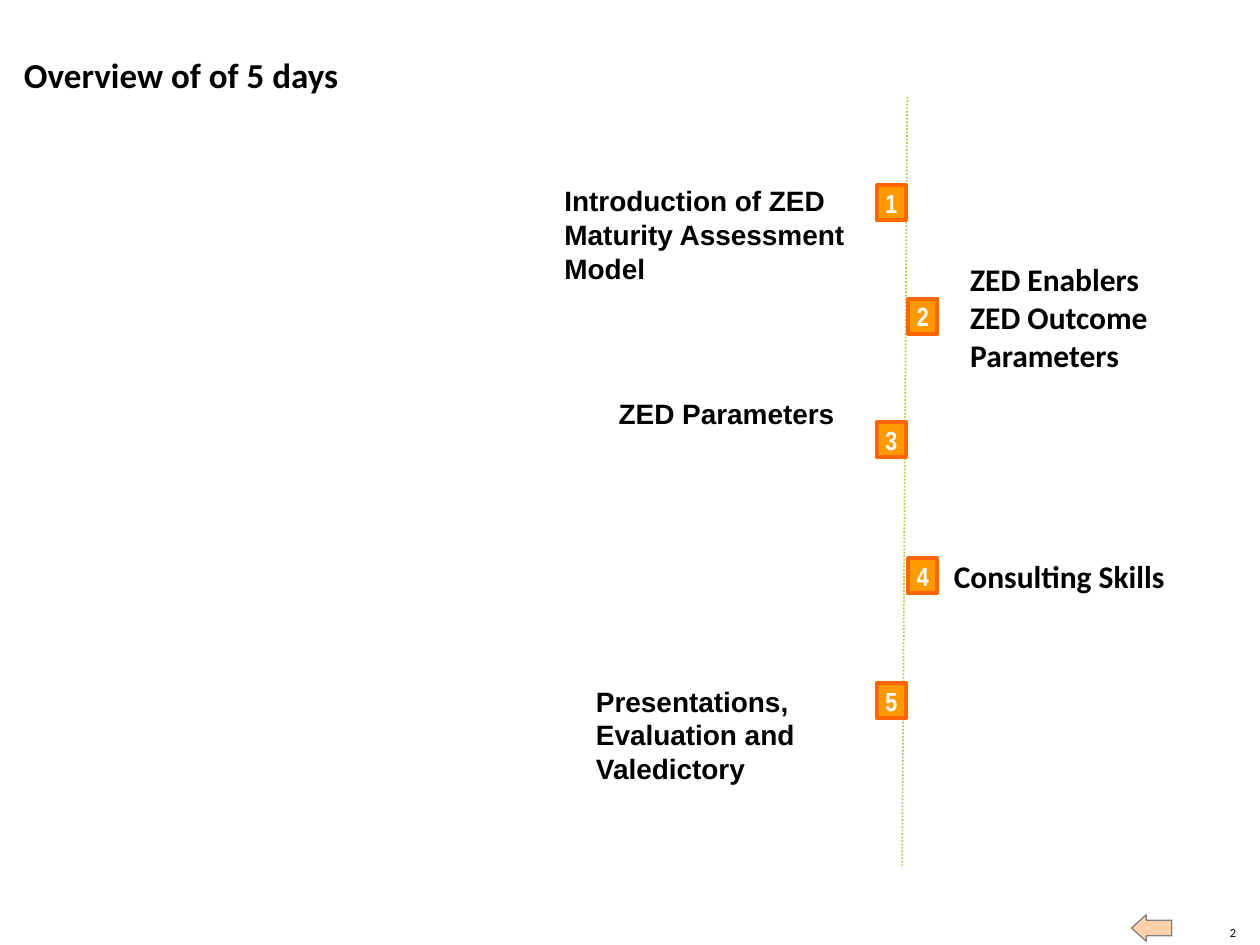
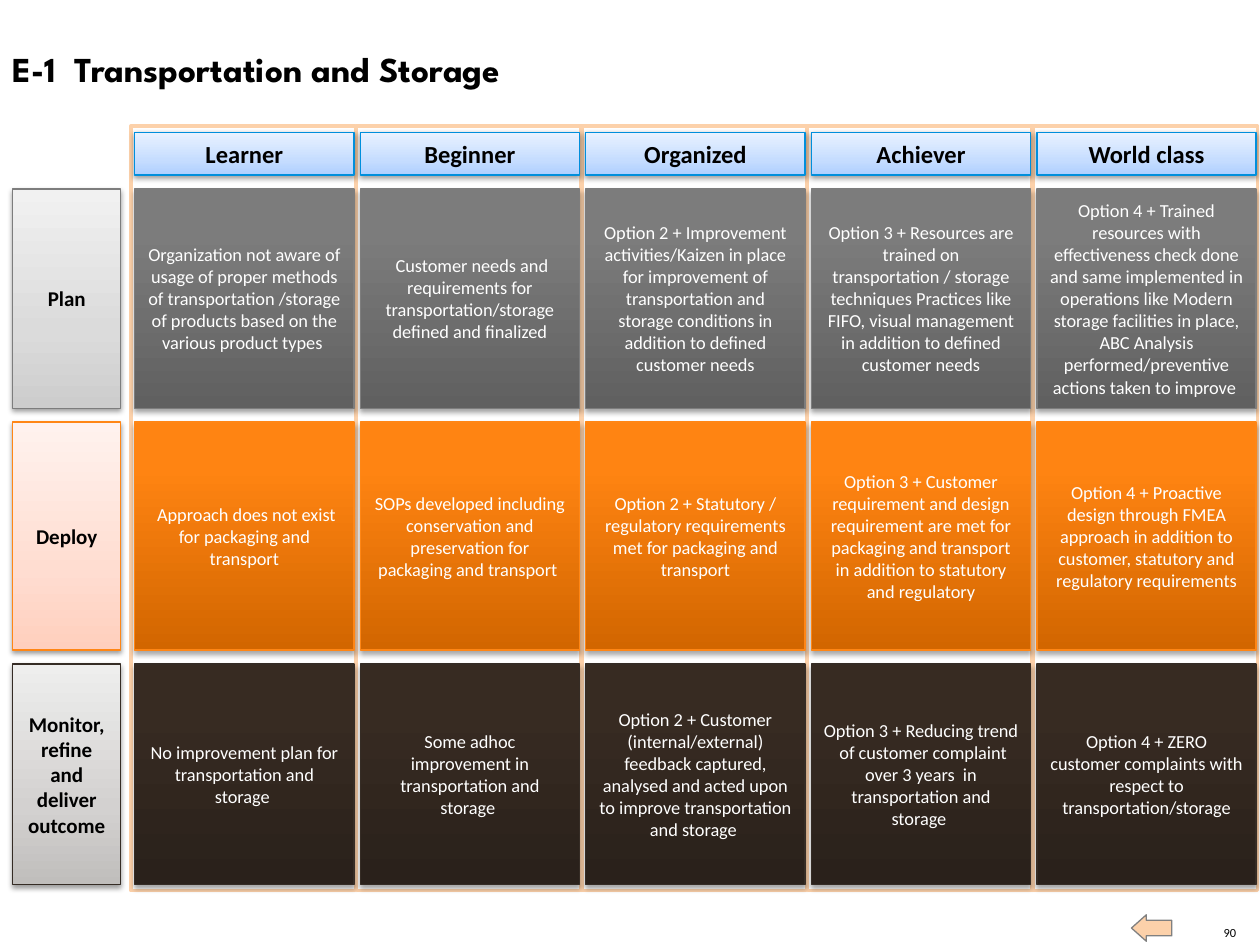
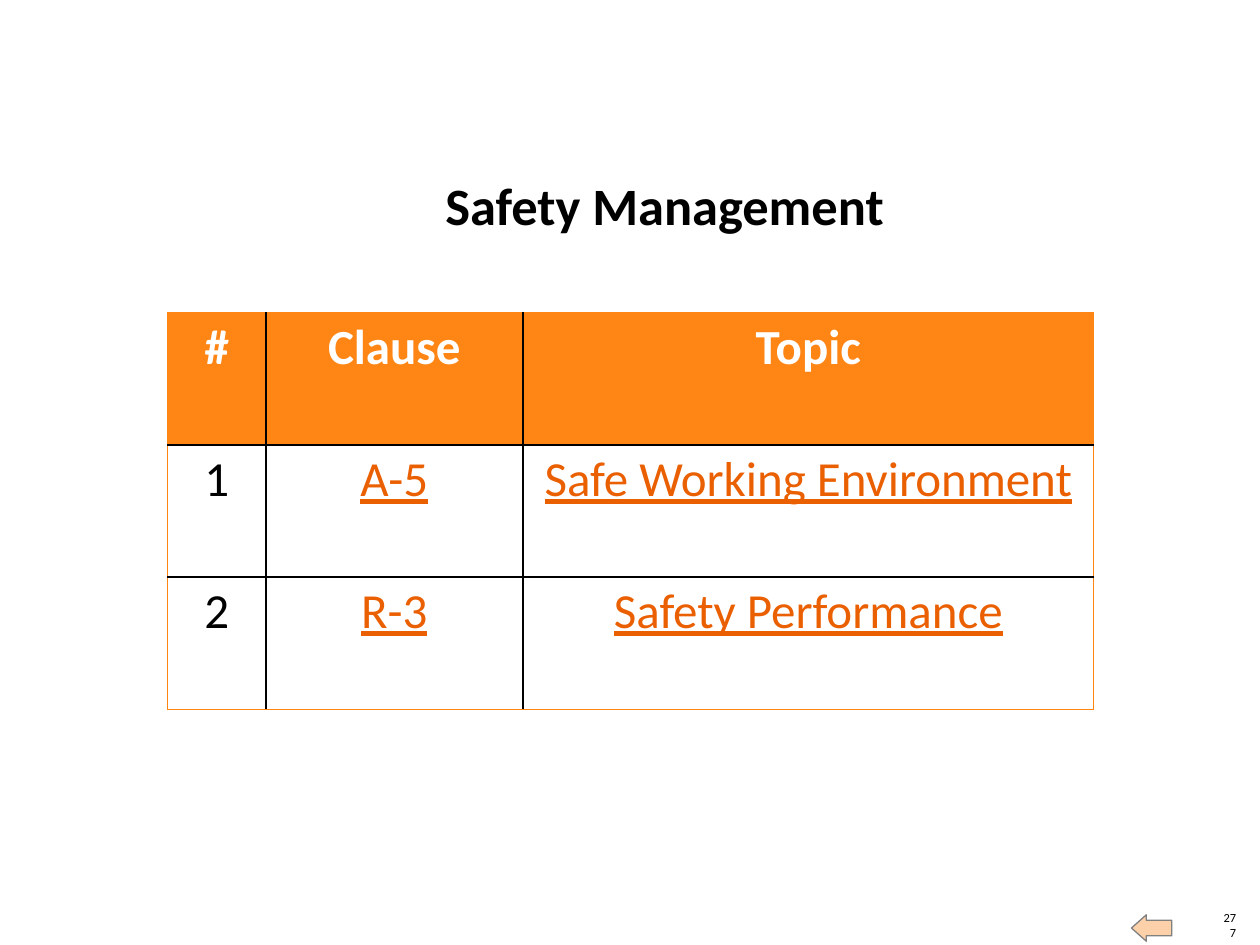
from pptx import Presentation
from pptx import util as u
from pptx.dml.color import RGBColor
from pptx.enum import dml, shapes, text
from pptx.oxml import parse_xml
from pptx.oxml.ns import nsdecls, qn

COLORS = {
    "ink": "000000", "white": "FFFFFF", "orange": "FF8615", "link": "EA5F00",
    "peach": "FCD1AA", "grey": "808080", "spine": "BDC644",
    "badge": "FF9900", "badge_line": "FF6600",
    "header_line": "008FDC", "plan": "7D7D7D", "monitor": "352C25",
}
# Gradient stops run from the bottom edge (0 %) to the top edge (100 %)
GRADIENTS = {
    "header": [(0, "AECFFF"), (35, "C6DDFF"), (100, "E9F2FF")],
    "plan_label": [(0, "CDCDCD"), (35, "DBDBDB"), (100, "F1F1F1")],
    "deploy_label": [(0, "FFCFBD"), (35, "FFDDD1"), (100, "FFF2EE")],
    "monitor_label": [(0, "C0BEBC"), (35, "D3D1D0"), (100, "EEEEED")],
    "plan": [(0, "606060"), (80, "7C7C7C"), (100, "7D7D7D")],
    "deploy": [(0, "D26600"), (80, "FF8412"), (100, "FF8514")],
    "monitor": [(0, "2A211B"), (80, "372B22"), (100, "372B22")],
}
LEFT, CENTER, RIGHT = text.PP_ALIGN.LEFT, text.PP_ALIGN.CENTER, text.PP_ALIGN.RIGHT
TOP, MIDDLE, BOTTOM = (text.MSO_ANCHOR.TOP, text.MSO_ANCHOR.MIDDLE,
                       text.MSO_ANCHOR.BOTTOM)
DEFAULT_INSETS = (0.1, 0.05)

LEVELS = ["Learner", "Beginner", "Organized", "Achiever", "World class"]
# Each stage: label, style, line colour, top, height, one text per level
STAGES = [
    ("Plan", "plan", "plan", 1.5, 1.74, [
        "Organization not aware of usage of proper methods of transportation "
        "/storage of products based on the various product types ",
        " Customer needs and requirements for transportation/storage defined "
        "and finalized",
        "Option 2 + Improvement activities/Kaizen in place for improvement of "
        "transportation and storage conditions in addition to defined customer needs",
        "Option 3 + Resources are trained on transportation / storage techniques "
        "Practices like FIFO, visual management in addition to defined customer needs",
        "Option 4 + Trained resources with effectiveness check done and same "
        "implemented in operations like Modern storage facilities in place, ABC "
        "Analysis performed/preventive actions taken to improve ",
    ]),
    ("Deploy", "deploy", "orange", 3.35, 1.81, [
        " Approach does not exist for packaging and transport",
        "SOPs developed including conservation and preservation for packaging "
        "and transport ",
        "Option 2 + Statutory / regulatory requirements met for packaging and "
        "transport",
        "Option 3 + Customer requirement and design requirement are met for "
        "packaging and transport in addition to statutory and regulatory",
        "Option 4 + Proactive design through FMEA approach in addition to "
        "customer, statutory and regulatory requirements",
    ]),
    ("Monitor, refine and deliver outcome", "monitor", "monitor", 5.27, 1.75, [
        "No improvement plan for transportation and storage ",
        "Some adhoc improvement in transportation and storage ",
        "Option 2 + Customer (internal/external) feedback captured, analysed "
        "and acted upon to improve transportation and storage ",
        "Option 3 + Reducing trend  of customer complaint over 3 years  in "
        "transportation and storage ",
        "Option 4 + ZERO customer complaints with respect to "
        "transportation/storage",
    ]),
]
# Each day: badge top, badge side, text box, font, size, anchor, lines
DAYS = [
    (0.7, "left", (0, 0.69, 2.38, 0.81), "Arial", 16, TOP,
     ["Introduction of ZED Maturity Assessment Model"]),
    (1.6, "right", (3.22, 1.43, 2.13, 0.63), "Calibri", 18, MIDDLE,
     ["ZED Enablers", "ZED Outcome Parameters"]),
    (2.58, "left", (0.43, 2.38, 2.42, 0.27), "Arial", 16, TOP,
     ["ZED Parameters"]),
    (3.66, "right", (3.09, 3.41, 2.13, 0.78), "Calibri", 18, MIDDLE,
     ["Consulting Skills"]),
    (4.65, "left", (0.25, 4.66, 2.42, 0.81), "Arial", 16, TOP,
     ["Presentations, Evaluation and Valedictory"]),
]
CLAUSES = [("#", "Clause", "Topic"),
           ("1", "A-5", "Safe Working Environment"),
           ("2", "R-3", "Safety Performance")]


def rgb(name):
    return RGBColor.from_string(COLORS[name])


def inches(box):
    return [u.Inches(round(v, 2)) for v in box]


def write(tf, lines, size, font="Calibri", color="ink", bold=False, align=LEFT,
          anchor=MIDDLE, insets=DEFAULT_INSETS, wrap=True):
    """Fill a text frame with evenly formatted paragraphs."""
    tf.auto_size = text.MSO_AUTO_SIZE.NONE
    tf.word_wrap = wrap
    tf.vertical_anchor = anchor
    tf.margin_left = tf.margin_right = u.Inches(insets[0])
    tf.margin_top = tf.margin_bottom = u.Inches(insets[1])
    for i, line in enumerate(lines):
        p = tf.paragraphs[0] if i == 0 else tf.add_paragraph()
        p.text = line
        p.alignment = align
        set_font(p.font, size, font, color, bold)


def set_font(f, size, font="Calibri", color="ink", bold=False):
    f.name, f.size, f.bold = font, u.Pt(size), bold
    f.color.rgb = rgb(color)


def add_text(s, box, lines, size, **style):
    write(s.shapes.add_textbox(*inches(box)).text_frame, lines, size, **style)


def add_box(s, box, fill, line, width, kind=shapes.MSO_SHAPE.RECTANGLE):
    sp = s.shapes.add_shape(kind, *inches(box))
    sp.shadow.inherit = False
    if fill:
        sp.fill.solid()
        sp.fill.fore_color.rgb = rgb(fill)
    sp.line.color.rgb = rgb(line)
    sp.line.width = u.Pt(width)
    return sp


def add_tile(s, box, label, gradient, line, size, color="ink", bold=True,
             shadow=(38, 1.6)):
    """Gradient rectangle with a soft shadow below and centred text."""
    sp = add_box(s, box, None, line, 0.75)
    sp.fill.gradient()
    sp.fill.gradient_angle = 90
    stops = sp._element.spPr.find(qn("a:gradFill")).find(qn("a:gsLst"))
    stops.clear()
    for pos, value in GRADIENTS[gradient]:
        stops.append(parse_xml(
            f'<a:gs {nsdecls("a")} pos="{pos * 1000}"><a:srgbClr val="{value}"/></a:gs>'))
    alpha, dist = shadow
    sp._element.spPr.find(qn("a:effectLst")).append(parse_xml(
        f'<a:outerShdw {nsdecls("a")} blurRad="{u.Pt(3.1)}" dist="{u.Pt(dist)}" '
        f'dir="5400000" rotWithShape="0"><a:srgbClr val="{COLORS["ink"]}">'
        f'<a:alpha val="{alpha * 1000}"/></a:srgbClr></a:outerShdw>'))
    write(sp.text_frame, [label], size, color=color, bold=bold, align=CENTER)


def new_slide(prs, number, title, box, size, **style):
    """Title-only slide with page number and back arrow."""
    s = prs.slides.add_slide(prs.slide_layouts[5])
    sp = s.shapes.title
    sp.left, sp.top, sp.width, sp.height = inches(box)
    write(sp.text_frame, [title], size, bold=True, **style)
    add_text(s, (9.69, 7.34, 0.12, 0.12), [number], 7.1, align=RIGHT,
             anchor=BOTTOM, insets=(0, 0))
    arrow = add_box(s, (8.98, 7.26, 0.32, 0.21), "peach", "grey", 0.75,
                    shapes.MSO_SHAPE.RIGHT_ARROW)
    arrow.rotation = 180
    arrow.adjustments[0], arrow.adjustments[1] = 0.59, 0.56
    return s


def add_timeline(s, left, top, width, height):
    """Dotted spine down the middle, with numbered days on both sides."""
    spine = left + width / 2
    line = s.shapes.add_connector(
        shapes.MSO_CONNECTOR.STRAIGHT,
        *inches((spine, top, spine - 0.04, top + height)))
    line.line.color.rgb = rgb("spine")
    line.line.width = u.Pt(1)
    line.line.dash_style = dml.MSO_LINE.ROUND_DOT
    line._element.spPr.append(parse_xml(f'<a:effectLst {nsdecls("a")}/>'))
    badge_x = {"left": spine - 0.24, "right": spine + 0.01}
    for day, (y, side, (dx, dy, w, h), font, size, anchor, lines) in enumerate(DAYS, 1):
        badge = add_box(s, (badge_x[side], top + y, 0.23, 0.28),
                        "badge", "badge_line", 2.25)
        write(badge.text_frame, [str(day)], 15, font="Arial Narrow",
              color="white", bold=True, align=CENTER, wrap=False)
        add_text(s, (left + dx, top + dy, w, h), lines, size, font=font,
                 bold=True, anchor=anchor, insets=(0, 0))


def add_maturity_grid(s, left, top, width, height):
    """Stages as rows, maturity levels as framed columns."""
    label_w, first, pitch = 0.86, left + 0.94, 1.79
    columns = [first + i * pitch for i in range(len(LEVELS))]
    tile_w = left + width - columns[-1] - 0.04
    # Row labels, then column frames
    for label, style, line, y, h, _ in STAGES:
        add_tile(s, (left, y, label_w, h), label, style + "_label", line, 12)
    for x in columns:
        add_box(s, (x, top, pitch - 0.01, height), "white", "peach", 2)
    # Tiles and column headings
    for i, x in enumerate(columns):
        for _, style, line, y, h, texts in STAGES:
            add_tile(s, (x + 0.03, y, tile_w, h), texts[i], style, line, 10.5,
                     color="white", bold=False, shadow=(35, 1.8))
        add_tile(s, (x + 0.03, top + 0.05, tile_w, 0.34), LEVELS[i],
                 "header", "header_line", 14)


def set_border(cell, side, color, width):
    cell._tc.get_or_add_tcPr().append(parse_xml(
        f'<a:{side} {nsdecls("a")} w="{u.Pt(width)}"><a:solidFill>'
        f'<a:srgbClr val="{COLORS[color]}"/></a:solidFill></a:{side}>'))


def add_clause_table(s, left, top, width, height):
    rows, cols = len(CLAUSES), len(CLAUSES[0])
    table = s.shapes.add_table(rows, cols, *inches((left, top, width, height))).table
    for column, w in zip(table.columns, (0.78, 2.04, width - 2.82)):
        column.width = u.Inches(w)
    for r, row in enumerate(CLAUSES):
        for c, label in enumerate(row):
            cell = table.cell(r, c)
            header, is_link = r == 0, r > 0 and c > 0
            cell.margin_left = cell.margin_right = u.Inches(0.07)
            cell.margin_top = cell.margin_bottom = u.Inches(0.04)
            # Orange outer edges, black inner rules
            outer = {"lnL": c == 0, "lnR": c == cols - 1,
                     "lnT": r == 0, "lnB": r == rows - 1}
            for side, is_outer in outer.items():
                set_border(cell, side, *(("orange", 0.75) if is_outer else ("ink", 1)))
            cell.fill.solid()
            cell.fill.fore_color.rgb = rgb("orange" if header else "white")
            p = cell.text_frame.paragraphs[0]
            p.text = label
            p.alignment = CENTER
            color = "white" if header else "link" if is_link else "ink"
            set_font(p.font, 28, color=color, bold=header)
            p.font.underline = is_link


def main():
    prs = Presentation()
    prs.slide_width, prs.slide_height = u.Inches(10), u.Inches(7.5)

    s = new_slide(prs, "2", "Overview of of 5 days", (0.19, 0.42, 7.65, 0.34), 20,
                  anchor=BOTTOM, insets=(0, 0))
    add_timeline(s, 4.48, 0.77, 5.44, 6.1)

    s = new_slide(prs, "90", "E-1  Transportation and Storage",
                  (0, 0.33, 8.6, 0.44), 20, font="League Spartan", anchor=TOP)
    add_maturity_grid(s, 0.1, 1, 9.88, 6.07)

    s = new_slide(prs, "277", "Safety Management", (2.49, 1.37, 5.57, 0.5), 30,
                  align=CENTER, anchor=BOTTOM, insets=(0, 0))
    add_clause_table(s, 1.33, 2.48, 7.35, 3.15)

    prs.save("out.pptx")


if __name__ == "__main__":
    main()
